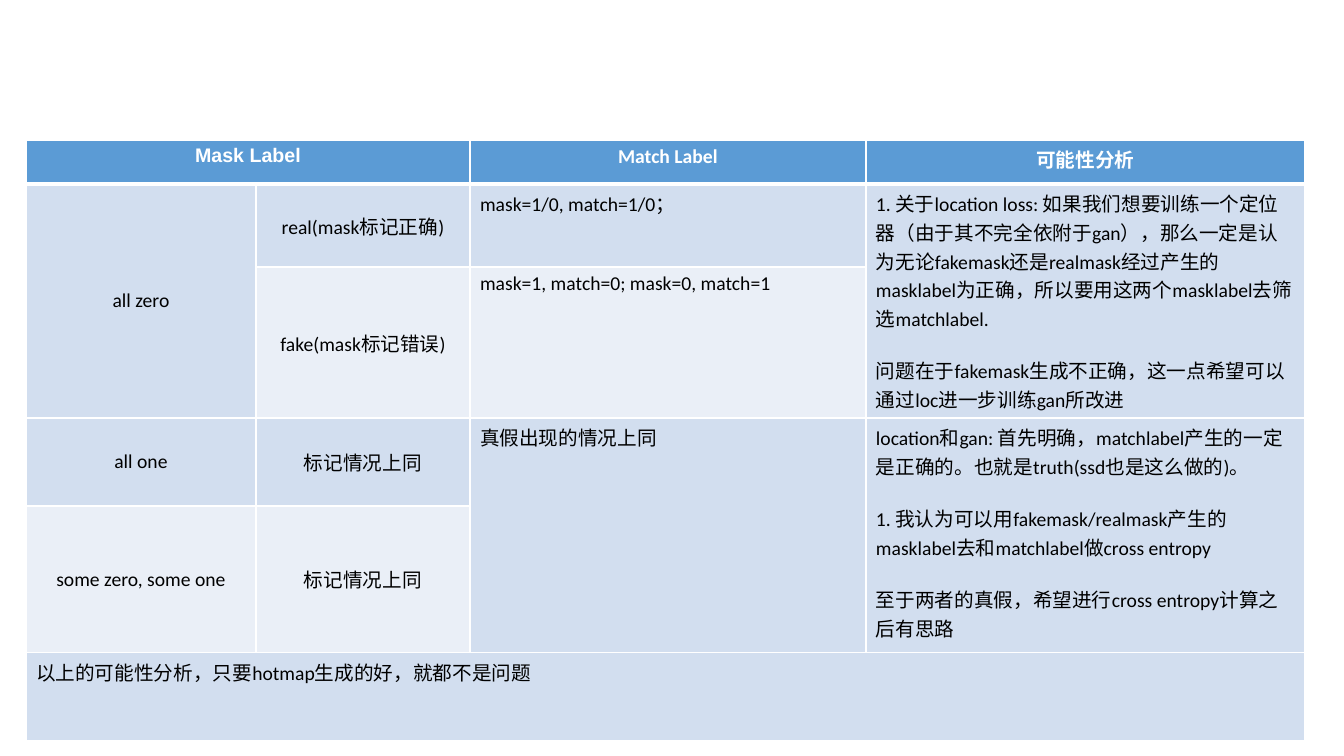
from dataclasses import dataclass

from lxml.etree import SubElement
from pptx import Presentation
from pptx.dml.color import RGBColor
from pptx.enum.text import MSO_ANCHOR, PP_ALIGN
from pptx.oxml.ns import qn
from pptx.util import Emu, Pt

EMU_PER_PX = 914400 / 100.8
WHITE, BLACK = "FFFFFF", "000000"
HEADER_BLUE, BAND_DARK, BAND_LIGHT = "5B9BD5", "D2DEEF", "EAEFF7"
COLUMN_WIDTHS = [230, 214, 396, 439]
ROW_HEIGHTS = [44, 83, 118, 88, 147, 88]
THIN, THICK = 1, 3


@dataclass(frozen=True)
class Entry:
    """Describe one visible table cell and the cells it spans."""
    row: int
    column: int
    paragraphs: tuple[str, ...]
    fill: str = BAND_DARK
    centred: bool = False
    row_span: int = 1
    column_span: int = 1
    font_name: str = "Calibri"


ENTRIES = [
    Entry(0, 0, ("Mask Label",), HEADER_BLUE, True, column_span=2, font_name="Arial"),
    Entry(0, 2, ("Match Label",), HEADER_BLUE, True),
    Entry(0, 3, ("可能性分析",), HEADER_BLUE, True),
    Entry(1, 0, ("all zero",), centred=True, row_span=2),
    Entry(1, 1, ("real(mask标记正确)",), centred=True),
    Entry(1, 2, ("mask=1/0, match=1/0；",)),
    Entry(1, 3, (
        "1. 关于location loss: 如果我们想要训练一个定位器（由于其不完全依附于gan），"
        "那么一定是认为无论fakemask还是realmask经过产生的masklabel为正确，"
        "所以要用这两个masklabel去筛选matchlabel.",
        "问题在于fakemask生成不正确，这一点希望可以通过loc进一步训练gan所改进",
    ), row_span=2),
    Entry(2, 1, ("fake(mask标记错误)",), BAND_LIGHT, True),
    Entry(2, 2, ("mask=1, match=0; mask=0, match=1",), BAND_LIGHT),
    Entry(3, 0, ("all one",), centred=True),
    Entry(3, 1, ("标记情况上同",), centred=True),
    Entry(3, 2, ("真假出现的情况上同",), row_span=2),
    Entry(3, 3, (
        "location和gan: 首先明确，matchlabel产生的一定是正确的。也就是truth(ssd也是这么做的)。",
        "1. 我认为可以用fakemask/realmask产生的masklabel去和matchlabel做cross entropy",
        "至于两者的真假，希望进行cross entropy计算之后有思路",
    ), row_span=2),
    Entry(4, 0, ("some zero, some one",), BAND_LIGHT, True),
    Entry(4, 1, ("标记情况上同",), BAND_LIGHT, True),
    Entry(5, 0, ("以上的可能性分析，只要hotmap生成的好，就都不是问题",), column_span=4),
]


def px(length: int) -> Emu:
    """Turn pixels into EMU."""
    return Emu(round(length * EMU_PER_PX))


def colour(value: str) -> RGBColor:
    """Turn a hex string into a colour."""
    return RGBColor.from_string(value)


def set_borders(cell, row: int) -> None:
    """Give a cell white borders, with a thick rule under the header."""
    widths = {
        "lnL": THIN,
        "lnR": THIN,
        "lnT": THICK if row == 1 else THIN,
        "lnB": THICK if row == 0 else THIN,
    }
    properties = cell._tc.get_or_add_tcPr()
    for position, (tag, width) in enumerate(widths.items()):
        line = SubElement(properties, qn(f"a:{tag}"), w=str(Pt(width)))
        fill = SubElement(line, qn("a:solidFill"))
        SubElement(fill, qn("a:srgbClr"), val=WHITE)
        properties.insert(position, line)


def write_entry(table, entry: Entry) -> None:
    """Merge, fill and write one table entry."""
    cell = table.cell(entry.row, entry.column)
    last_row = entry.row + entry.row_span
    last_column = entry.column + entry.column_span
    if entry.row_span * entry.column_span > 1:
        cell.merge(table.cell(last_row - 1, last_column - 1))
    for row in range(entry.row, last_row):
        for column in range(entry.column, last_column):
            part = table.cell(row, column)
            part.fill.solid()
            part.fill.fore_color.rgb = colour(entry.fill)
            set_borders(part, row)

    is_header = entry.row == 0
    middle = entry.centred and not is_header
    cell.vertical_anchor = MSO_ANCHOR.MIDDLE if middle else MSO_ANCHOR.TOP
    font_format = {"name": entry.font_name, "size": Pt(14), "bold": is_header}
    frame = cell.text_frame
    for index, text in enumerate(entry.paragraphs):
        paragraph = frame.add_paragraph() if index else frame.paragraphs[0]
        paragraph.alignment = PP_ALIGN.CENTER if entry.centred else PP_ALIGN.LEFT
        paragraph.space_before = Pt(17 if index else 0)
        run = paragraph.add_run()
        run.text = text
        for name, value in font_format.items():
            setattr(run.font, name, value)
        run.font.color.rgb = colour(WHITE if is_header else BLACK)


def main() -> None:
    """Build the label table slide and save it."""
    presentation = Presentation()
    presentation.slide_width, presentation.slide_height = px(1344), px(756)
    slide = presentation.slides.add_slide(presentation.slide_layouts[6])
    shape = slide.shapes.add_table(
        len(ROW_HEIGHTS), len(COLUMN_WIDTHS), px(26), px(140),
        px(sum(COLUMN_WIDTHS)), px(sum(ROW_HEIGHTS)),
    )
    table = shape.table
    for column, width in zip(table.columns, COLUMN_WIDTHS):
        column.width = px(width)
    for row, height in zip(table.rows, ROW_HEIGHTS):
        row.height = px(height)
    for entry in ENTRIES:
        write_entry(table, entry)
    presentation.save("out.pptx")


if __name__ == "__main__":
    main()
